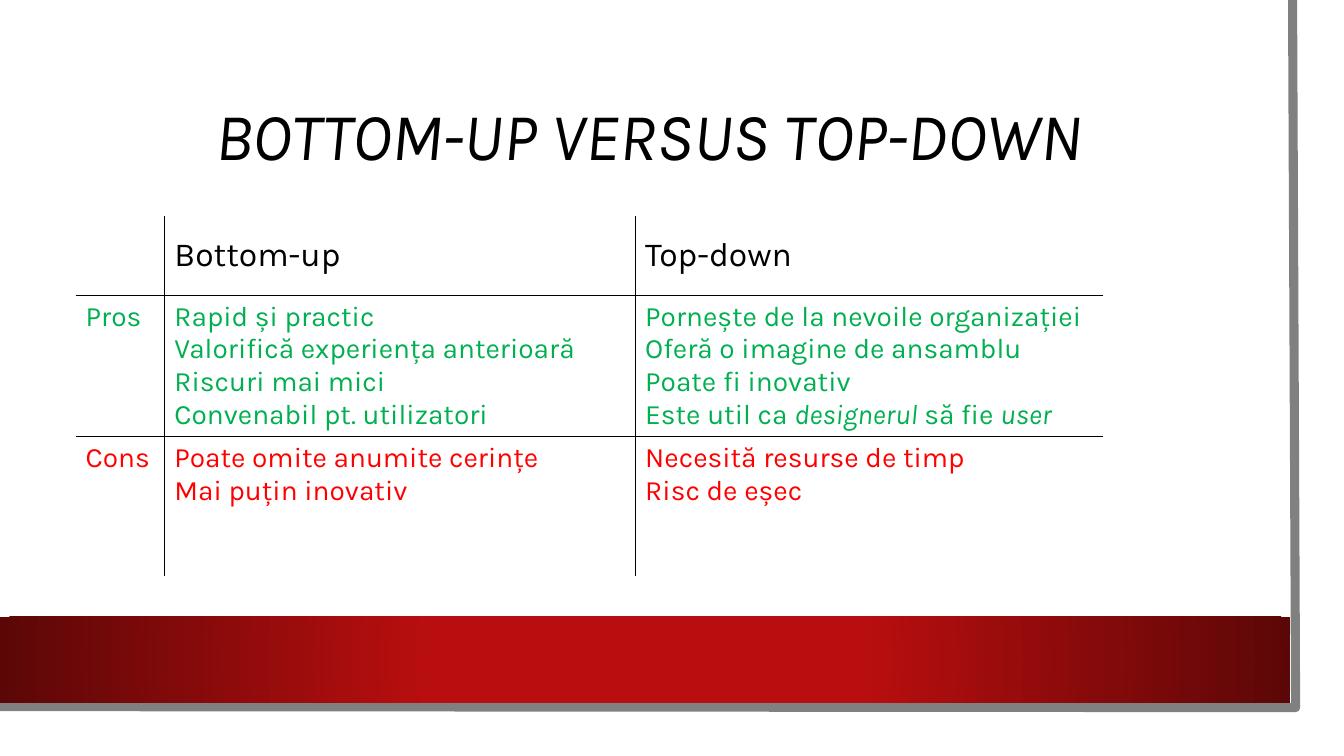
import pptx
import pptx.dml.color
import pptx.enum.dml
import pptx.enum.shapes
import pptx.enum.text
import pptx.oxml
import pptx.oxml.ns
import pptx.util

PX = 9144
FONT = "Karla"
BLACK, GREEN, RED = "000000", "00B050", "FF0000"
NO_STYLE = "{2D5ABB26-0587-4C30-8999-92F81FD0307C}"

ROWS = [
    (24, BLACK, [[], ["Bottom-up"], ["Top-down"]]),
    (20, GREEN, [
        ["Pros"],
        ["Rapid și practic", "Valorifică experiența anterioară",
         "Riscuri mai mici", "Convenabil pt. utilizatori"],
        ["Pornește de la nevoile organizației", "Oferă o imagine de ansamblu",
         "Poate fi inovativ", "Este util ca *designerul* să fie *user*"],
    ]),
    (20, RED, [
        ["Cons"],
        ["Poate omite anumite cerințe", "Mai puțin inovativ"],
        ["Necesită resurse de timp", "Risc de eșec"],
    ]),
]


def color(value):
    return pptx.dml.color.RGBColor.from_string(value)


def scaled(*lengths):
    return [length * PX for length in lengths]


def element(markup):
    tag, rest = markup.split(" ", 1)
    return pptx.oxml.parse_xml(f"{tag} {pptx.oxml.ns.nsdecls('a')} {rest}")


def style_font(font, size, value):
    font.name = FONT
    font.size = pptx.util.Pt(size)
    font.color.rgb = color(value)


def add_rectangle(page, box):
    shape = page.shapes.add_shape(
        pptx.enum.shapes.MSO_SHAPE.RECTANGLE, *scaled(*box))
    shape.shadow.inherit = False
    shape.line.fill.background()
    return shape


def add_frame(page, box):
    left, top, width, height = box
    paper = add_rectangle(page, (left, top, width, height))
    paper.fill.solid()
    paper.fill.fore_color.rgb = color("FFFFFF")

    right, bottom = left + width - 25, top + height - 25
    builder = page.shapes.build_freeform(right - 3, top, scale=PX)
    builder.add_line_segments(
        [(right, bottom), (left - 3, bottom - 1)], close=False)
    edge = builder.convert_to_shape()
    edge.shadow.inherit = False
    edge.fill.background()
    edge.line.color.rgb = color("808080")
    edge.line.width = pptx.util.Pt(6.5)


def add_band(page, box):
    band = add_rectangle(page, box)
    band.fill.gradient()
    stops = zip(band.fill.gradient_stops, [(0.34, "B80E0F"), (1, "5C0707")])
    for stop, (position, value) in stops:
        stop.position = position
        stop.color.rgb = color(value)
    gradient = band.fill._xPr.find(pptx.oxml.ns.qn("a:gradFill"))
    gradient.remove(gradient.find(pptx.oxml.ns.qn("a:lin")))
    gradient.append(element(
        '<a:path path="circle">'
        '<a:fillToRect l="50000" t="50000" r="50000" b="50000"/></a:path>'))


def add_title(page, box, text):
    title = page.shapes.title
    title.left, title.top, title.width, title.height = scaled(*box)
    frame = title.text_frame
    frame.auto_size = pptx.enum.text.MSO_AUTO_SIZE.NONE
    frame.vertical_anchor = pptx.enum.text.MSO_ANCHOR.MIDDLE
    frame.text = text
    para = frame.paragraphs[0]
    para.alignment = pptx.enum.text.PP_ALIGN.CENTER
    para.line_spacing = 0.9
    style_font(para.font, 48, BLACK)
    para.font.italic = True


def set_borders(cell, sides):
    properties = cell._tc.get_or_add_tcPr()
    for index, side in enumerate(side for side in "LRTB" if side in sides):
        properties.insert(index, element(
            f'<a:ln{side} w="12700"><a:solidFill><a:srgbClr val="{BLACK}"/>'
            f'</a:solidFill></a:ln{side}>'))


def fill_cell(cell, lines, size, value):
    cell.fill.background()
    frame = cell.text_frame
    for index, line in enumerate(lines):
        para = frame.add_paragraph() if index else frame.paragraphs[0]
        for part, text in enumerate(line.split("*")):
            if text:
                span = para.add_run()
                span.text = text
                if part % 2:
                    span.font.italic = True
        style_font(para.font, size, value)


def add_comparison(page, box, widths, heights):
    table = page.shapes.add_table(
        len(heights), len(widths), *scaled(*box)).table
    table.first_row = table.horz_banding = False
    table._tbl.tblPr.find(pptx.oxml.ns.qn("a:tableStyleId")).text = NO_STYLE
    for column, width in zip(table.columns, widths):
        column.width = width * PX
    for row, height in zip(table.rows, heights):
        row.height = height * PX
    for row, (size, value, cells) in enumerate(ROWS):
        for column, lines in enumerate(cells):
            cell = table.cell(row, column)
            fill_cell(cell, lines, size, value)
            if row == 0:
                cell.vertical_anchor = pptx.enum.text.MSO_ANCHOR.MIDDLE
            across = {0: "B", 1: "T"}.get(row, "")
            down = {0: "R", 1: "L"}.get(column, "")
            set_borders(cell, across + down)


def main():
    deck = pptx.Presentation()
    deck.slide_width, deck.slide_height = scaled(1333, 750)
    page = deck.slides.add_slide(deck.slide_layouts[5])
    add_frame(page, (0, 0, 1310, 727))
    add_band(page, (0, 612, 1280, 85))
    add_title(page, (75, 75, 1137, 126), "BOTTOM-UP VERSUS TOP-DOWN")
    add_comparison(page, (75, 214, 1019, 355), (88, 467, 464), (79, 138, 138))
    title = page.shapes.title._element
    title.getparent().insert(5, title)
    deck.save("out.pptx")


if __name__ == "__main__":
    main()
